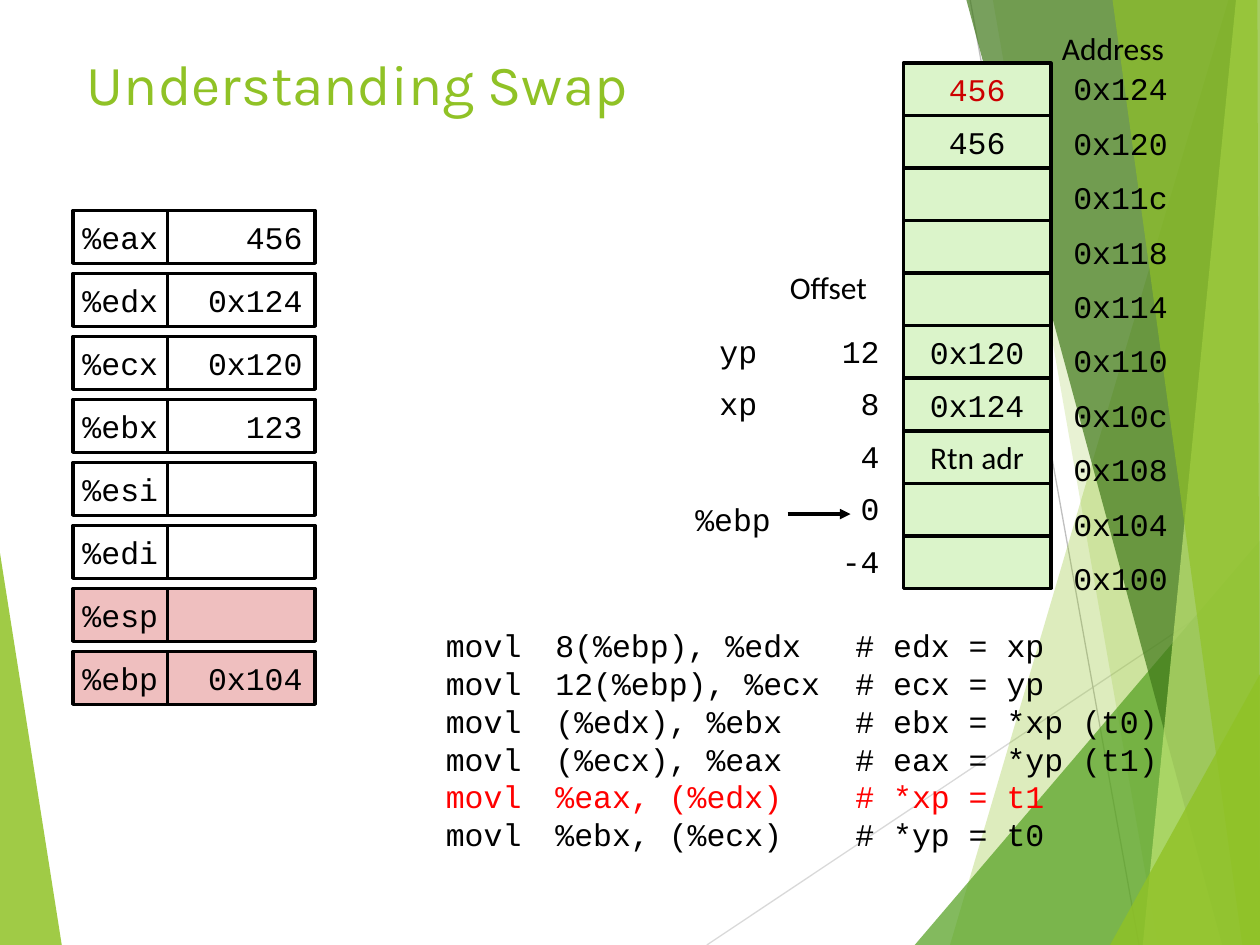
from lxml.etree import SubElement
from pptx import Presentation
from pptx.dml.color import RGBColor
from pptx.enum.shapes import MSO_CONNECTOR, MSO_SHAPE
from pptx.enum.text import MSO_ANCHOR, PP_ALIGN
from pptx.oxml.ns import qn
from pptx.util import Inches, Pt

BLACK = RGBColor(0, 0, 0)
WHITE = RGBColor(0xFF, 0xFF, 0xFF)
RED = RGBColor(0xFF, 0, 0)
CRIMSON = RGBColor(0xCC, 0, 0)
MINT = RGBColor(0xDB, 0xF4, 0xCA)
PINK = RGBColor(0xEF, 0xBF, 0xBF)
LIME = RGBColor(0x90, 0xC2, 0x26)
GREEN = RGBColor(0x54, 0xA0, 0x21)
FOREST = RGBColor(0x3F, 0x78, 0x19)
PALE = RGBColor(0xC0, 0xE4, 0x74)
SILVER = RGBColor(0xD9, 0xD9, 0xD9)
GRAY = RGBColor(0xBF, 0xBF, 0xBF)

MONO, SANS = "Courier New", "Calibri"
LEFT, CENTER, RIGHT = PP_ALIGN.LEFT, PP_ALIGN.CENTER, PP_ALIGN.RIGHT

# Colour, opacity in percent, corners in inches from the backdrop's corner
FACETS = [
    (LIME, 85, [(0, 4.39), (0.49, 7.5), (0, 7.5)]),
    (LIME, 30, [(9.75, 0), (7.54, 7.5), (10, 7.5), (10, 0)]),
    (LIME, 20, [(7.88, 0), (9.19, 7.5), (10, 7.5), (10, 0)]),
    (GREEN, 72, [(7.26, 7.5), (10, 4.29), (10, 7.5)]),
    (FOREST, 70, [(7.67, 0), (9.7, 7.5), (10, 7.5), (10, 0)]),
    (PALE, 70, [(9.81, 0), (9.07, 7.5), (10, 7.5), (10, 0)]),
    (LIME, 65, [(8.83, 0), (9.86, 7.5), (10, 7.5), (9.98, 0)]),
    (LIME, 80, [(8.81, 7.5), (10, 5.35), (10, 7.5)]),
]
RAYS = [(SILVER, (5.61, 7.5), (10, 4.57)), (GRAY, (7.7, 0), (9.04, 7.5))]

REGS = [
    ("%eax", "456", WHITE), ("%edx", "0x124", WHITE),
    ("%ecx", "0x120", WHITE), ("%ebx", "123", WHITE),
    ("%esi", "", WHITE), ("%edi", "", WHITE),
    ("%esp", "", PINK), ("%ebp", "0x104", PINK),
]
# Value, font, colour, address, offset, name
MEMORY = [
    ("456", MONO, CRIMSON, "0x124", "", ""),
    ("456", MONO, BLACK, "0x120", "", ""),
    ("", MONO, BLACK, "0x11c", "", ""),
    ("", MONO, BLACK, "0x118", "", ""),
    ("", MONO, BLACK, "0x114", "", ""),
    ("0x120", MONO, BLACK, "0x110", "12", "yp"),
    ("0x124", MONO, BLACK, "0x10c", "8", "xp"),
    ("Rtn adr", SANS, BLACK, "0x108", "4", ""),
    ("", MONO, BLACK, "0x104", "0", ""),
    ("", MONO, BLACK, "0x100", "-4", ""),
]
CODE = [
    ("8(%ebp), %edx", "# edx = xp", BLACK),
    ("12(%ebp), %ecx", "# ecx = yp", BLACK),
    ("(%edx), %ebx", "# ebx = *xp (t0)", BLACK),
    ("(%ecx), %eax", "# eax = *yp (t1)", BLACK),
    ("%eax, (%edx)", "# *xp = t1", RED),
    ("%ebx, (%ecx)", "# *yp = t0", BLACK),
]
TABS = [0.44, 1.31, 3.69]


def add_run(para, text, font=MONO, color=BLACK, size=18):
    run = para.add_run()
    run.text = text
    run.font.name = font
    run.font.size = Pt(size)
    run.font.color.rgb = color


def add_line(slide, start, end, color, width):
    line = slide.shapes.add_connector(
        MSO_CONNECTOR.STRAIGHT, *[Inches(n) for n in (*start, *end)])
    line.line.color.rgb = color
    line.line.width = Pt(width)
    SubElement(line._element.spPr, qn("a:effectLst"))
    return line


def add_label(slide, box, text, font=MONO, align=LEFT):
    frame = slide.shapes.add_textbox(*[Inches(n) for n in box]).text_frame
    frame.word_wrap = False
    frame.paragraphs[0].alignment = align
    add_run(frame.paragraphs[0], text, font)


def add_cell(slide, box, fill, text, font=MONO, color=BLACK, align=CENTER):
    cell = slide.shapes.add_shape(
        MSO_SHAPE.RECTANGLE, *[Inches(n) for n in box])
    cell.shadow.inherit = False
    cell.fill.solid()
    cell.fill.fore_color.rgb = fill
    cell.line.color.rgb = BLACK
    cell.line.width = Pt(2)
    if text:
        frame = cell.text_frame
        frame.word_wrap = False
        frame.vertical_anchor = MSO_ANCHOR.MIDDLE
        frame.paragraphs[0].alignment = align
        add_run(frame.paragraphs[0], text, font, color)


def add_backdrop(slide, left, top):
    def shift(point):
        return left + point[0], top + point[1]

    for color, start, end in RAYS:
        add_line(slide, shift(start), shift(end), color, 0.75)
    for color, alpha, points in FACETS:
        spots = [tuple(Inches(n) for n in shift(p)) for p in points]
        pen = slide.shapes.build_freeform(*spots[0])
        pen.add_line_segments(spots[1:], close=True)
        facet = pen.convert_to_shape()
        facet.shadow.inherit = False
        facet.line.fill.background()
        facet.fill.solid()
        facet.fill.fore_color.rgb = color
        tint = facet._element.spPr.find(".//" + qn("a:srgbClr"))
        SubElement(tint, qn("a:alpha"), val=str(alpha * 1000))


def add_title(slide, box, text):
    title = slide.shapes.title
    title.left, title.top, title.width, title.height = map(Inches, box)
    frame = title.text_frame
    frame.vertical_anchor = MSO_ANCHOR.MIDDLE
    frame.paragraphs[0].alignment = LEFT
    add_run(frame.paragraphs[0], text, "Karla", LIME, 32.4)


def add_regs(slide, box):
    left, top, width, height = box
    tall = 0.42
    step = (height - tall) / (len(REGS) - 1)
    split = 0.75
    for i, (name, value, fill) in enumerate(REGS):
        y = top + i * step
        add_cell(slide, (left, y, split, tall), fill, name)
        add_cell(slide, (left + split, y, width - split, tall), fill, value,
                 align=RIGHT)


def add_memory(slide, box):
    """Stack cells in the box, with addresses to the right and offsets to the left."""
    left, top, width, height = box
    row = height / len(MEMORY)
    step = 3.89 / (len(MEMORY) - 1)
    for i, (value, font, color, address, offset, name) in enumerate(MEMORY):
        y = top + i * row
        add_cell(slide, (left, y, width, row), MINT, value, font, color)
        add_label(slide, (left + 1.25, top + i * step, 1.33, 0.4), address)
        if offset:
            add_label(slide, (left - 0.69, y, 0.6, 0.4), offset, align=RIGHT)
        if name:
            add_label(slide, (left - 1.67, y, 0.72, 0.4), name, align=CENTER)
    add_label(slide, (left + 1.16, top - 0.32, 1.04, 0.4), "Address", SANS)
    add_label(slide, (left - 1, top + 1.58, 0.84, 0.4), "Offset", SANS)
    add_label(slide, (left - 1.75, top + 3.42, 0.8, 0.4), "%ebp")
    y = top + 3.58
    arrow = add_line(slide, (left - 0.92, y), (left - 0.42, y), BLACK, 2)
    SubElement(arrow.line._get_or_add_ln(), qn("a:tailEnd"), type="triangle")


def add_code(slide, box):
    frame = slide.shapes.add_textbox(*[Inches(n) for n in box]).text_frame
    frame.word_wrap = True
    for i, (args, note, color) in enumerate(CODE):
        para = frame.add_paragraph() if i else frame.paragraphs[0]
        stops = SubElement(para._p.get_or_add_pPr(), qn("a:tabLst"))
        for stop in TABS:
            SubElement(stops, qn("a:tab"), pos=str(Inches(stop)), algn="l")
        add_run(para, f"\tmovl\t{args}\t{note}", color=color)


def main():
    deck = Presentation()
    deck.slide_width, deck.slide_height = Inches(10), Inches(7.5)
    slide = deck.slides.add_slide(deck.slide_layouts[5])
    add_backdrop(slide, 0, 0)
    add_title(slide, (0.59, 0.34, 6.97, 0.63), "Understanding Swap")
    add_memory(slide, (7.17, 0.5, 1.17, 4.17))
    add_regs(slide, (0.58, 1.67, 1.92, 3.92))
    add_code(slide, (3, 4.92, 6.5, 1.92))
    deck.save("out.pptx")


if __name__ == "__main__":
    main()
